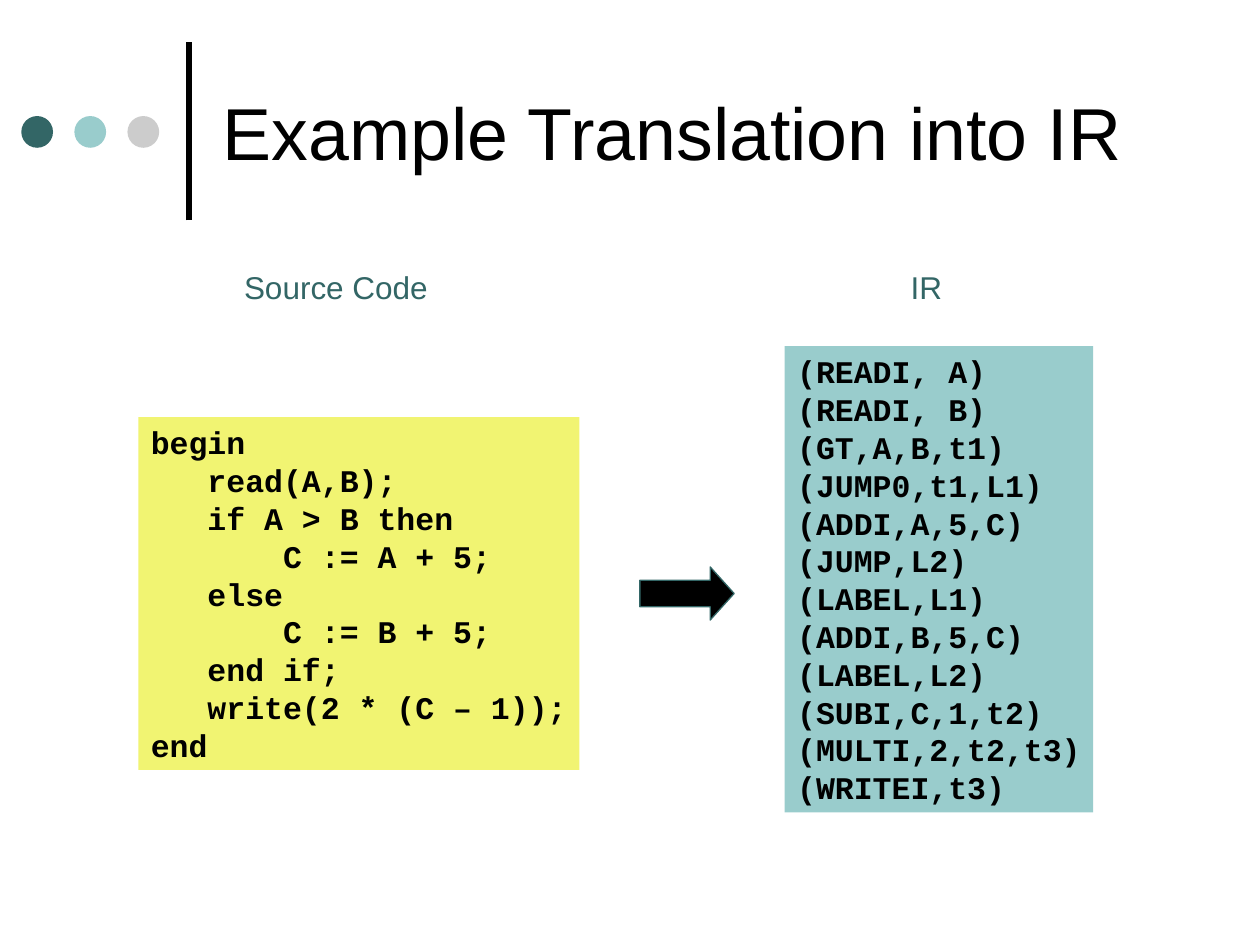
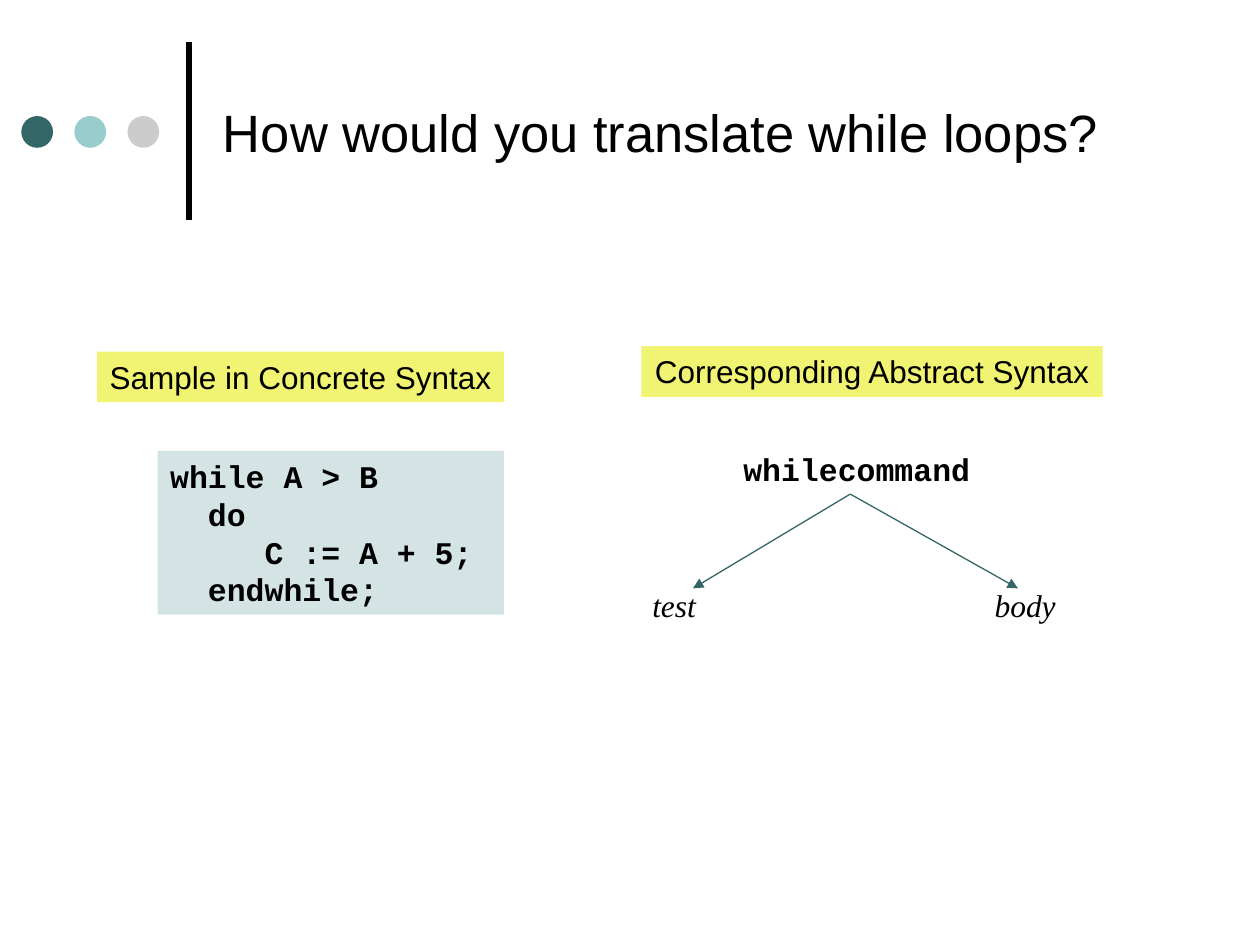
from dataclasses import dataclass

from pptx import Presentation
from pptx.dml.color import RGBColor
from pptx.enum import shapes, text
from pptx.oxml import ns
from pptx.util import Cm, Pt
from lxml import etree


@dataclass(frozen=True)
class Face:
    name: str
    size: float
    color: str = "000000"
    bold: bool = False
    italic: bool = False


@dataclass(frozen=True)
class Theme:
    black: str = "000000"
    teal: str = "336666"
    aqua: str = "99CCCC"
    gray: str = "CCCCCC"
    yellow: str = "F1F472"
    pale: str = "D4E4E4"
    title: Face = Face("Arial", 42)
    long_title: Face = Face("Arial", 30)
    caption: Face = Face("Arial", 18, "336666")
    heading: Face = Face("Arial", 18)
    code: Face = Face("Courier New", 18, bold=True)
    node: Face = Face("Times New Roman", 18, italic=True)
    bar_width: float = 3
    thin_width: float = 0.75


THEME = Theme()
LEFT = text.PP_ALIGN.LEFT
CENTER = text.PP_ALIGN.CENTER


@dataclass(frozen=True)
class Box:
    left: float
    top: float
    width: float
    height: float

    def lengths(self) -> tuple:
        return Cm(self.left), Cm(self.top), Cm(self.width), Cm(self.height)


@dataclass(frozen=True)
class Block:
    box: Box
    content: str
    face: Face
    fill: str | None = None
    align: text.PP_ALIGN = LEFT
    wrap: bool = False
    tab: float | None = None


SOURCE_CODE = """begin
   read(A,B);
   if A > B then
       C := A + 5;
   else
       C := B + 5;
   end if;
   write(2 * (C – 1));
end"""

IR_CODE = """(READI, A)
(READI, B)
(GT,A,B,t1)
(JUMP0,t1,L1)
(ADDI,A,5,C)
(JUMP,L2)
(LABEL,L1)
(ADDI,B,5,C)
(LABEL,L2)
(SUBI,C,1,t2)
(MULTI,2,t2,t3)
(WRITEI,t3)"""

WHILE_CODE = """while A > B
  do
     C := A + 5;
  endwhile;"""

TRANSLATION_BLOCKS = [
    Block(Box(2.79, 8.41, 8.89, 7.11), SOURCE_CODE, THEME.code, THEME.yellow),
    Block(Box(15.82, 6.98, 6.22, 9.4), IR_CODE, THEME.code, THEME.aqua),
    Block(Box(4.67, 5.28, 4.22, 1.02), "Source Code", THEME.caption),
    Block(Box(18.11, 5.28, 1.14, 1.02), "IR", THEME.caption),
]

LOOP_BLOCKS = [
    Block(Box(14.73, 8.94, 5.08, 1.02), "whilecommand", THEME.code, align=CENTER),
    Block(Box(12.9, 11.68, 8.66, 1.02), "test\tbody", THEME.node, wrap=True, tab=6.9),
    Block(Box(3.18, 9.09, 6.98, 3.3), WHILE_CODE, THEME.code, THEME.pale, wrap=True),
    Block(Box(1.96, 7.09, 8.2, 1.02), "Sample in Concrete Syntax",
          THEME.heading, THEME.yellow, CENTER),
    Block(Box(12.93, 6.98, 9.3, 1.02), "Corresponding Abstract Syntax",
          THEME.heading, THEME.yellow, CENTER),
]


def rgb(color: str) -> RGBColor:
    return RGBColor.from_string(color)


def style_paragraph(paragraph, face: Face, align: text.PP_ALIGN) -> None:
    paragraph.alignment = align
    font = paragraph.font
    font.name, font.size = face.name, Pt(face.size)
    font.bold, font.italic = face.bold, face.italic
    font.color.rgb = rgb(face.color)


def add_tab(paragraph, position: float) -> None:
    tabs = etree.SubElement(paragraph._p.get_or_add_pPr(), ns.qn("a:tabLst"))
    etree.SubElement(tabs, ns.qn("a:tab"), pos=str(Cm(position)), algn="l")


def add_filled(slide, kind: shapes.MSO_SHAPE, box: Box, fill: str):
    shape = slide.shapes.add_shape(kind, *box.lengths())
    shape.shadow.inherit = False
    shape.fill.solid()
    shape.fill.fore_color.rgb = rgb(fill)
    shape.line.fill.background()
    return shape


def add_block(slide, block: Block) -> None:
    if block.fill:
        shape = add_filled(slide, shapes.MSO_SHAPE.RECTANGLE, block.box, block.fill)
    else:
        shape = slide.shapes.add_textbox(*block.box.lengths())
    frame = shape.text_frame
    frame.text = block.content
    frame.word_wrap = block.wrap
    frame.auto_size = text.MSO_AUTO_SIZE.SHAPE_TO_FIT_TEXT
    frame.vertical_anchor = text.MSO_ANCHOR.TOP
    for paragraph in frame.paragraphs:
        if block.tab is not None:
            add_tab(paragraph, block.tab)
        style_paragraph(paragraph, block.face, block.align)


def add_line(slide, start: tuple[float, float], end: tuple[float, float],
             color: str, width: float, arrow: bool = False) -> None:
    connector = slide.shapes.add_connector(
        shapes.MSO_CONNECTOR.STRAIGHT, *map(Cm, start + end))
    connector.line.color.rgb = rgb(color)
    connector.line.width = Pt(width)
    if arrow:
        etree.SubElement(connector.line._get_or_add_ln(), ns.qn("a:tailEnd"), type="triangle")
    etree.SubElement(connector._element.spPr, ns.qn("a:effectLst"))


def add_titled_slide(presentation, heading: str, face: Face, title_width: float):
    slide = presentation.slides.add_slide(presentation.slide_layouts[5])
    title = slide.shapes.title
    title.left, title.top, title.width, title.height = Box(
        4.24, 0.53, title_width, 4.24).lengths()
    frame = title.text_frame
    frame.text = heading
    frame.word_wrap = True
    frame.auto_size = text.MSO_AUTO_SIZE.NONE
    frame.vertical_anchor = text.MSO_ANCHOR.MIDDLE
    style_paragraph(frame.paragraphs[0], face, LEFT)

    add_line(slide, (3.81, 4.44), (3.81, 0.84), THEME.black, THEME.bar_width)
    for index, color in enumerate((THEME.teal, THEME.aqua, THEME.gray)):
        dot = Box(0.43 + 1.07 * index, 2.34, 0.64, 0.64)
        add_filled(slide, shapes.MSO_SHAPE.OVAL, dot, color)
    return slide


def build_translation_slide(presentation) -> None:
    slide = add_titled_slide(presentation, "Example Translation into IR", THEME.title, 19.48)
    for block in TRANSLATION_BLOCKS:
        add_block(slide, block)
    arrow = add_filled(slide, shapes.MSO_SHAPE.RIGHT_ARROW,
                       Box(12.9, 11.43, 1.9, 1.07), THEME.black)
    arrow.adjustments[0] = 0.5
    arrow.adjustments[1] = 0.45
    arrow.line.color.rgb = rgb(THEME.teal)
    arrow.line.width = Pt(THEME.thin_width)


def build_loop_slide(presentation) -> None:
    slide = add_titled_slide(
        presentation, "How would you translate while loops?", THEME.long_title, 20.12)
    for block in LOOP_BLOCKS:
        add_block(slide, block)
    for child_x in (13.97, 20.52):
        add_line(slide, (17.14, 9.96), (child_x, 11.86),
                 THEME.teal, THEME.thin_width, arrow=True)


def main() -> None:
    presentation = Presentation()
    presentation.slide_width, presentation.slide_height = Cm(25.4), Cm(19.05)
    build_translation_slide(presentation)
    build_loop_slide(presentation)
    presentation.save("out.pptx")


if __name__ == "__main__":
    main()
